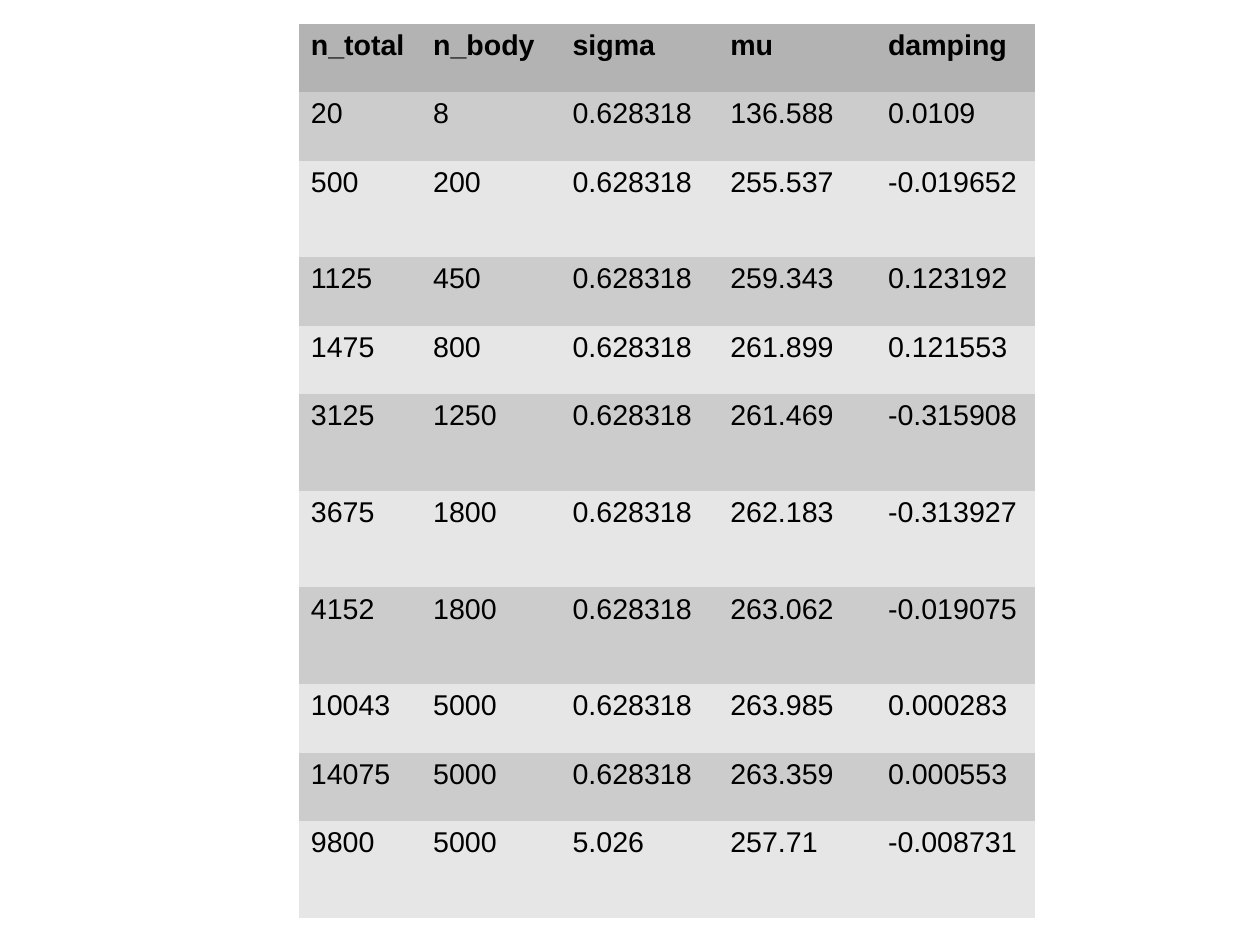
from pptx import Presentation
from pptx.dml.color import RGBColor
from pptx.oxml.ns import qn
from pptx.util import Cm, Inches, Pt

HEADER_FILL = "B3B3B3"
BAND_FILLS = ("CCCCCC", "E6E6E6")
COLUMN_WIDTHS = (1.07, 1.22, 1.38, 1.38, 1.39)
ROW_SHARE, TALL_ROW_SHARE = 0.6, 0.85
NO_STYLE_NO_GRID = "{2D5ABB26-0587-4C30-8999-92F81FD0307C}"
RESULTS = (
    ("n_total", "n_body", "sigma", "mu", "damping"),
    ("20", "8", "0.628318", "136.588", "0.0109"),
    ("500", "200", "0.628318", "255.537", "-0.019652"),
    ("1125", "450", "0.628318", "259.343", "0.123192"),
    ("1475", "800", "0.628318", "261.899", "0.121553"),
    ("3125", "1250", "0.628318", "261.469", "-0.315908"),
    ("3675", "1800", "0.628318", "262.183", "-0.313927"),
    ("4152", "1800", "0.628318", "263.062", "-0.019075"),
    ("10043", "5000", "0.628318", "263.985", "0.000283"),
    ("14075", "5000", "0.628318", "263.359", "0.000553"),
    ("9800", "5000", "5.026", "257.71", "-0.008731"),
)


def color(value):
    """Return the colour for a hex string."""
    return RGBColor.from_string(value)


def fill_cell(cell, text, fill, bold):
    """Write one value in a cell and paint its background."""
    cell.fill.solid()
    cell.fill.fore_color.rgb = color(fill)
    span = cell.text_frame.paragraphs[0].add_run()
    span.text = text
    span.font.name = "Arial"
    span.font.size = Pt(18)
    span.font.bold = bold
    span.font.color.rgb = color("000000")


def add_results_table(page, left, top, width, height):
    """Place the results table, with taller rows for negative damping."""
    shares = [TALL_ROW_SHARE if values[-1].startswith("-") else ROW_SHARE
              for values in RESULTS]
    frame = page.shapes.add_table(
        len(RESULTS), len(COLUMN_WIDTHS), Inches(left), Inches(top),
        Inches(width), Inches(height))
    table = frame.table
    table.horz_banding = False
    table._tbl.tblPr.find(qn("a:tableStyleId")).text = NO_STYLE_NO_GRID
    for column, column_width in zip(table.columns, COLUMN_WIDTHS):
        column.width = Inches(column_width)
    for index, (row, share, values) in enumerate(zip(table.rows, shares, RESULTS)):
        row.height = Inches(height * share / sum(shares))
        is_header = index == 0
        fill = HEADER_FILL if is_header else BAND_FILLS[(index - 1) % 2]
        for cell, text in zip(row.cells, values):
            fill_cell(cell, text, fill, is_header)


def main():
    """Build the slide and save the deck."""
    deck = Presentation()
    deck.slide_width = Cm(28)
    deck.slide_height = Cm(21)
    page = deck.slides.add_slide(deck.slide_layouts[6])
    add_results_table(page, 2.62, 0.21, 6.44, 7.82)
    deck.save("out.pptx")


if __name__ == "__main__":
    main()
